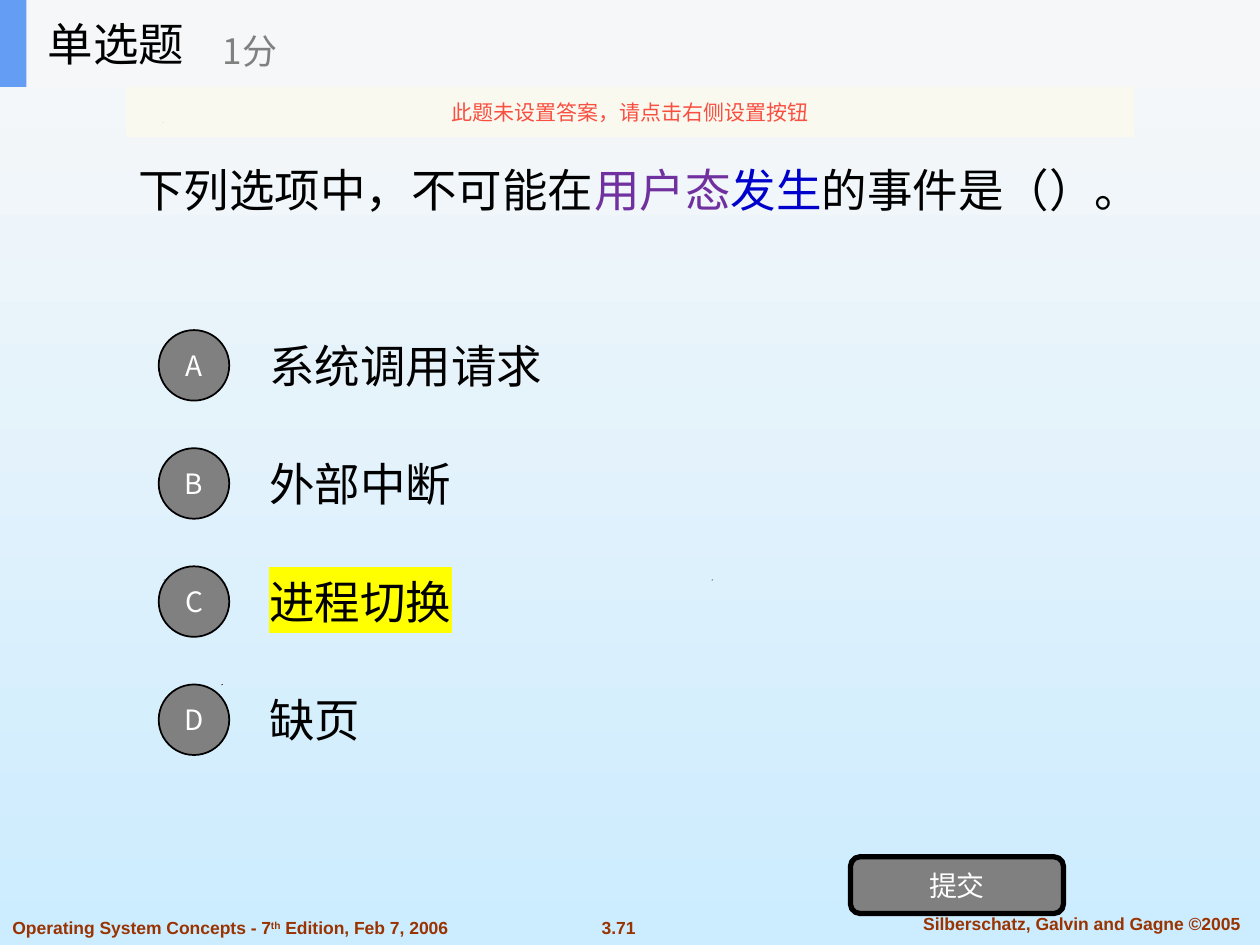
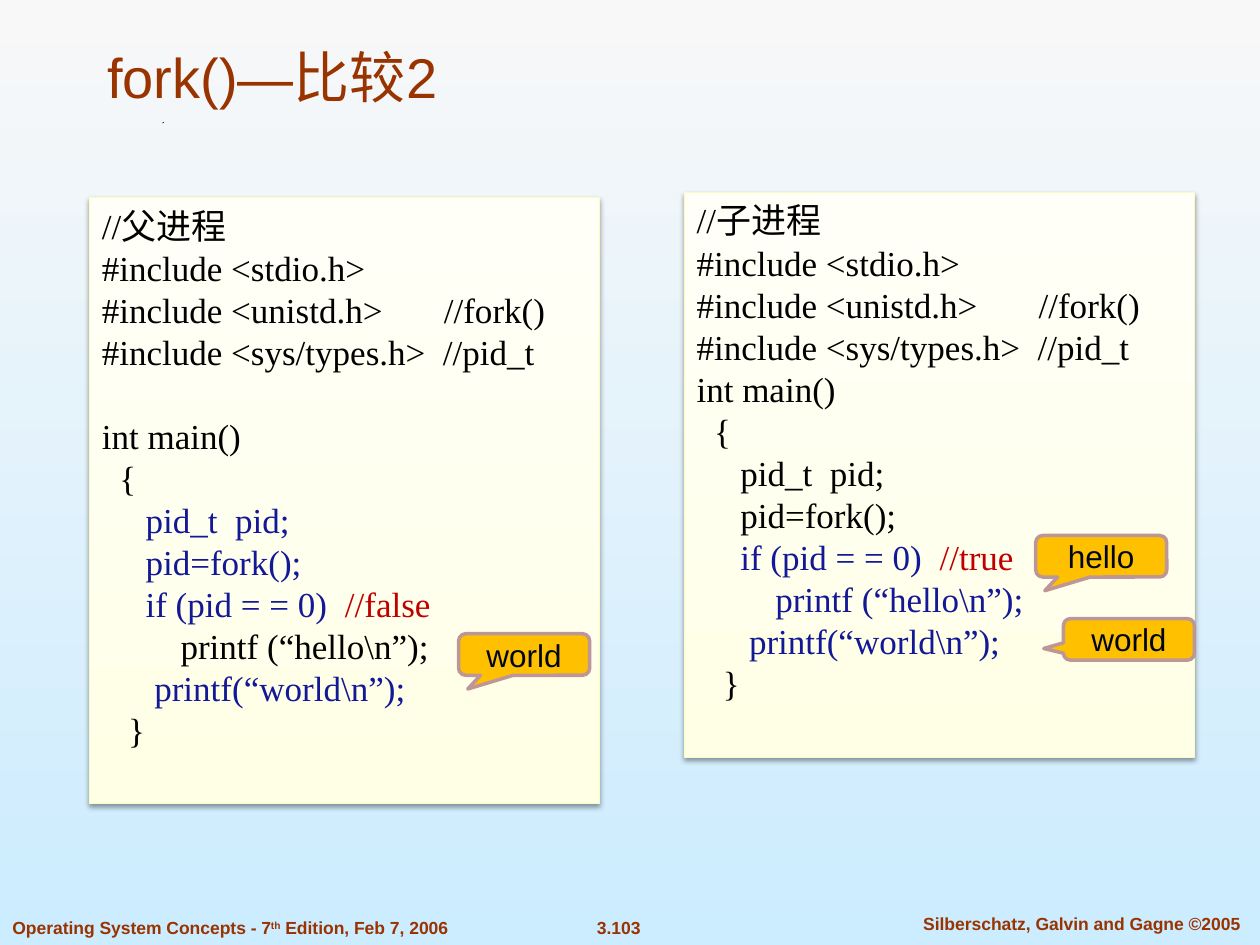
from dataclasses import dataclass

from lxml.etree import SubElement
from pptx import Presentation
from pptx.dml.color import RGBColor
from pptx.enum.shapes import MSO_SHAPE
from pptx.enum.text import MSO_ANCHOR, MSO_AUTO_SIZE, PP_ALIGN
from pptx.oxml.ns import qn
from pptx.util import Inches, Pt


@dataclass(frozen=True)
class Theme:
    sans: str = "Arial"
    serif: str = "Times New Roman"
    chinese: str = "Noto Sans CJK SC"
    black: str = "000000"
    white: str = "FFFFFF"
    gray: str = "808080"
    rust: str = "993300"
    purple: str = "7030A0"
    blue: str = "0000CC"
    navy: str = "121896"
    red: str = "C00000"
    warning: str = "F84F41"
    warning_band: str = "FBFAEF"
    header_band: str = "F6F7F8"
    header_accent: str = "639EF4"
    highlight: str = "FFFF00"
    callout: str = "FFC000"
    callout_line: str = "BD9797"
    callout_text: str = "000818"
    panel_line: str = "FBFBC4"
    panel_fill: tuple = ("FFFFE6", "FFFFF8")
    background: tuple = ("F8F8F8", "CCECFF")
    title: int = 32
    question: int = 26
    code: int = 20
    callout_size: int = 18
    label: int = 16
    notice: int = 12
    footer: int = 10


theme = Theme()


def add_part(slide, kind, box, fill=None, line=None, width=1):
    """Add a preset shape, or a text box when kind is None."""
    place = [Inches(value) for value in box]
    if kind is None:
        return slide.shapes.add_textbox(*place)
    part = slide.shapes.add_shape(kind, *place)
    part.shadow.inherit = False
    if fill:
        part.fill.solid()
        part.fill.fore_color.rgb = RGBColor.from_string(fill)
    if line:
        part.line.color.rgb = RGBColor.from_string(line)
        part.line.width = Pt(width)
    else:
        part.line.fill.background()
    return part


def write(part, lines, size, font=theme.chinese, color=theme.black, bold=False,
          align=PP_ALIGN.LEFT, anchor=MSO_ANCHOR.MIDDLE, spacing=None, margin=0.1):
    """Fill a shape; a line is a string or a list of (text, run options)."""
    frame = part.text_frame
    frame_format = {
        "word_wrap": True, "auto_size": MSO_AUTO_SIZE.NONE, "vertical_anchor": anchor,
        "margin_left": Inches(margin), "margin_right": Inches(margin),
        "margin_top": Inches(0.05), "margin_bottom": Inches(0.05),
    }
    for name, value in frame_format.items():
        setattr(frame, name, value)
    for index, line in enumerate(lines):
        paragraph = frame.add_paragraph() if index else frame.paragraphs[0]
        paragraph.alignment = align
        if spacing:
            paragraph.line_spacing = Pt(spacing)
        for text, options in [(line, {})] if isinstance(line, str) else line:
            run = paragraph.add_run()
            run.text = text
            for name, value in {"name": font, "size": Pt(size), "bold": bold}.items():
                setattr(run.font, name, value)
            run.font.color.rgb = RGBColor.from_string(options.get("color", color))
            properties = run._r.get_or_add_rPr()
            SubElement(properties, qn("a:ea"), typeface=theme.chinese)
            if "baseline" in options:
                properties.set("baseline", options["baseline"])
            if "highlight" in options:
                marker = SubElement(properties, qn("a:highlight"))
                SubElement(marker, qn("a:srgbClr"), val=options["highlight"])
                properties.find(qn("a:latin")).addprevious(marker)


deck = Presentation()
deck.slide_width, deck.slide_height = Inches(10), Inches(7.5)
backdrop = deck.slide_master.background.fill
backdrop.gradient()
backdrop.gradient_angle = 270
for stop, color in zip(backdrop.gradient_stops, theme.background):
    stop.color.rgb = RGBColor.from_string(color)

# Shared footers and specks
edition = [("Operating System Concepts - 7", {}), ("th", {"baseline": "30000"}),
           (" Edition, Feb 7, 2006", {})]
specks = [(1.76, 5.43), (1.3, 4.6), (5.65, 4.6), (1.29, 0.97)]
slides = []
for page_number in ("3.71", "3.103"):
    slide = deck.slides.add_slide(deck.slide_layouts[5])
    slides.append(slide)
    for x, y in specks:
        outline = slide.shapes.build_freeform(Inches(x), Inches(y + 0.01))
        outline.add_line_segments([(Inches(x + 0.01), Inches(y)),
                                   (Inches(x), Inches(y))])
        speck = outline.convert_to_shape()
        speck.shadow.inherit = False
        speck.fill.solid()
        speck.fill.fore_color.rgb = RGBColor.from_string(theme.black)
        speck.line.fill.background()
    footers = [
        ((4.59, 7.23, 0.64, 0.27), page_number, PP_ALIGN.CENTER),
        ((7.1, 7.2, 2.97, 0.27), "Silberschatz, Galvin and Gagne ©2005", PP_ALIGN.CENTER),
        ((0, 7.23, 4.09, 0.27), edition, PP_ALIGN.LEFT),
    ]
    for box, text, align in footers:
        write(add_part(slide, None, box), [text], theme.footer, theme.sans, theme.rust,
              bold=True, align=align, anchor=MSO_ANCHOR.TOP)
quiz, comparison = slides

# Slide 1: single-choice question
question = [("下列选项中，不可能在", {}), ("用户态", {"color": theme.purple}),
            ("发生", {"color": theme.blue}), ("的事件是（）。", {})]
write(add_part(quiz, None, (1, 0.69, 8.54, 1.62)), [question], theme.question)

answers = [("A", "系统调用请求", {}), ("B", "外部中断", {}),
           ("C", "进程切换", {"highlight": theme.highlight}), ("D", "缺页", {})]
for row, (letter, answer, options) in enumerate(answers):
    top = 2.55 + 0.9375 * row
    write(add_part(quiz, None, (2.04, top, 7, 0.7)), [[(answer, options)]], theme.question)
    badge = add_part(quiz, MSO_SHAPE.OVAL, (1.26, top + 0.07, 0.56, 0.56),
                     theme.gray, theme.black)
    write(badge, [letter], theme.label, color=theme.white, align=PP_ALIGN.CENTER, margin=0)

submit = add_part(quiz, MSO_SHAPE.ROUNDED_RECTANGLE, (6.75, 6.8, 1.69, 0.45),
                  theme.gray, theme.black, 3)
write(submit, ["提交"], theme.label, color=theme.white, align=PP_ALIGN.CENTER)

add_part(quiz, MSO_SHAPE.RECTANGLE, (0, 0, 10, 0.69), theme.header_band)
add_part(quiz, MSO_SHAPE.RECTANGLE, (0, 0, 0.21, 0.69), theme.header_accent)
write(add_part(quiz, None, (1.67, 0.12, 2.5, 0.56)), ["1分"], theme.code, color=theme.gray)
notice = add_part(quiz, MSO_SHAPE.RECTANGLE, (1, 0.69, 8, 0.4), theme.warning_band)
tint = notice._element.spPr.find(qn("a:solidFill")).find(qn("a:srgbClr"))
SubElement(tint, qn("a:alpha"), val="90000")
write(notice, ["此题未设置答案，请点击右侧设置按钮"], theme.notice, color=theme.warning,
      align=PP_ALIGN.CENTER)
# The title has to lie in front of the header band
quiz.shapes._spTree.append(quiz.shapes.title._element)

# Titles of both slides
titles = [
    (quiz, "单选题", (0.28, 0, 2.08, 0.69), theme.question, theme.chinese,
     theme.black, MSO_ANCHOR.MIDDLE),
    (comparison, "fork()—比较2", (0.75, 0.25, 8.83, 0.67), theme.title, theme.sans,
     theme.rust, MSO_ANCHOR.BOTTOM),
]
for slide, text, box, size, font, color, anchor in titles:
    heading = slide.shapes.title
    for name, value in zip(("left", "top", "width", "height"), box):
        setattr(heading, name, Inches(value))
    write(heading, [text], size, font, color, anchor=anchor)

# Slide 2: code of the parent and the child process
executed, remark = {"color": theme.navy}, {"color": theme.red}
includes = ["#include <stdio.h>", "#include <unistd.h>       //fork()",
            "#include <sys/types.h>  //pid_t"]
main_start = ["int main()", "  {"]
parent_code = ["//父进程", *includes, *main_start,
               [("     pid_t  pid;", executed)],
               [("     pid=fork();", executed)],
               [("     if (pid = = 0)  ", executed), ("//false", remark)],
               "         printf (“hello\\n”);",
               [("      printf(“world\\n”);", executed)],
               "   }"]
child_code = ["//子进程", *includes, *main_start,
              "     pid_t  pid;",
              "     pid=fork();",
              [("     if (pid = = 0) ", executed), (" //true", remark)],
              [("         printf (“hello\\n”);", executed)],
              [("      printf(“world\\n”);", executed)],
              "   }"]
panels = [((0.71, 1.57, 4.05, 4.81), parent_code, 24),
          ((5.43, 1.53, 4.05, 4.48), child_code, 0)]
for box, code, gap_before_main in panels:
    panel = add_part(comparison, MSO_SHAPE.RECTANGLE, box, line=theme.panel_line, width=0.75)
    panel.fill.gradient()
    panel.fill.gradient_angle = 90
    for stop, color in zip(panel.fill.gradient_stops, theme.panel_fill):
        stop.color.rgb = RGBColor.from_string(color)
    effects = panel._element.spPr.find(qn("a:effectLst"))
    shadow = SubElement(effects, qn("a:outerShdw"), blurRad=str(Pt(3.1)), dist=str(Pt(1.6)),
                        dir="5400000", rotWithShape="0")
    shade = SubElement(shadow, qn("a:srgbClr"), val=theme.black)
    SubElement(shade, qn("a:alpha"), val="38000")
    write(panel, code, theme.code, theme.serif, anchor=MSO_ANCHOR.TOP, spacing=24)
    main_line = panel.text_frame.paragraphs[1 + len(includes)]
    main_line.space_before = Pt(gap_before_main)

below_left, to_left = (-0.43, 0.83, 0.17), (-0.65, 0.22, 0.17)
outputs = [("world", 3.64, 5.03, below_left), ("hello", 8.22, 4.25, below_left),
           ("world", 8.44, 4.91, to_left)]
for output, left, top, pointer in outputs:
    bubble = add_part(comparison, MSO_SHAPE.ROUNDED_RECTANGULAR_CALLOUT,
                      (left, top, 1.04, 0.33), theme.callout, theme.callout_line, 2)
    for index, value in enumerate(pointer):
        bubble.adjustments[index] = value
    write(bubble, [output], theme.callout_size, theme.sans, theme.callout_text,
          align=PP_ALIGN.CENTER)

deck.save("out.pptx")
